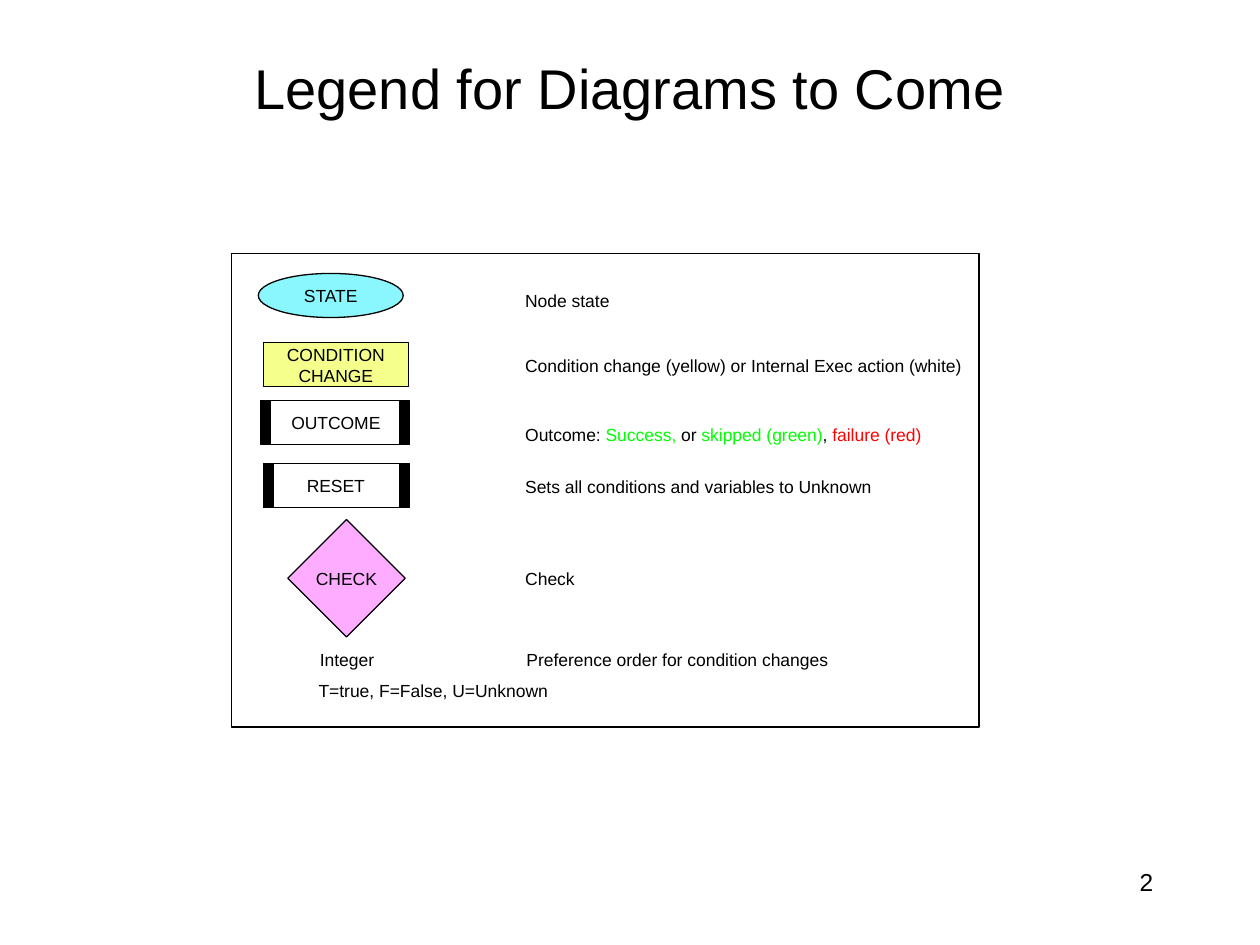
from dataclasses import dataclass

from pptx import Presentation
from pptx import util as u
from pptx.dml.color import RGBColor
from pptx.enum import shapes, text


@dataclass(frozen=True)
class Theme:
    font: str = "Arial"
    title_size: int = 32
    number_size: int = 14
    body_size: int = 10
    line_width: float = 0.75
    black: str = "000000"
    state: str = "8AF7FF"
    condition: str = "F4FF8C"
    check: str = "FDACFF"
    success: str = "00FF00"
    failure: str = "FF0000"


THEME = Theme()
SHAPE = shapes.MSO_SHAPE
ALIGN = text.PP_ALIGN
ROW_H = 0.35
LABEL_H = 0.27
SYMBOL_W = 1.15
BAR_W = 0.08


def inches(*values):
    return [u.Inches(value) for value in values]


def style_run(r, size, color=THEME.black):
    r.font.name = THEME.font
    r.font.size = u.Pt(size)
    r.font.color.rgb = RGBColor.from_string(color)


def style_text(tf, size, align):
    for p in tf.paragraphs:
        p.alignment = align
        for r in p.runs:
            style_run(r, size)


def add_box(s, kind, x, y, w, h, fill=None, label=""):
    sp = s.shapes.add_shape(kind, *inches(x, y, w, h))
    sp.shadow.inherit = False
    if fill:
        sp.fill.solid()
        sp.fill.fore_color.rgb = RGBColor.from_string(fill)
    else:
        sp.fill.background()
    sp.line.color.rgb = RGBColor.from_string(THEME.black)
    sp.line.width = u.Pt(THEME.line_width)
    if label:
        tf = sp.text_frame
        tf.text = label
        tf.word_wrap = False
        tf.vertical_anchor = text.MSO_ANCHOR.MIDDLE
        style_text(tf, THEME.body_size, ALIGN.CENTER)
    return sp


def add_label(s, x, y, w, label, h=LABEL_H, size=THEME.body_size,
              align=ALIGN.LEFT, wrap=False):
    tf = s.shapes.add_textbox(*inches(x, y, w, h)).text_frame
    tf.text = label
    tf.word_wrap = wrap
    style_text(tf, size, align)
    return tf


def add_barred_box(s, x, y, label, left_bar):
    add_box(s, SHAPE.RECTANGLE, x, y, SYMBOL_W, ROW_H, label=label)
    for bar_x in (left_bar, x + SYMBOL_W - BAR_W + 0.01):
        add_box(s, SHAPE.RECTANGLE, bar_x, y, BAR_W, ROW_H, THEME.black)


def add_title(s, x, y, w, h):
    title = s.shapes.title
    title.left, title.top, title.width, title.height = inches(x, y, w, h)
    tf = title.text_frame
    tf.text = "Legend for Diagrams to Come"
    tf.vertical_anchor = text.MSO_ANCHOR.MIDDLE
    style_text(tf, THEME.title_size, ALIGN.CENTER)


def add_symbols(s, x, y):
    add_box(s, SHAPE.OVAL, x + 0.21, y + 0.16, SYMBOL_W, ROW_H,
            THEME.state, "STATE")
    add_box(s, SHAPE.RECTANGLE, x + 0.25, y + 0.71, SYMBOL_W, ROW_H,
            THEME.condition, "CONDITION\nCHANGE")
    add_barred_box(s, x + 0.25, y + 1.17, "OUTCOME", x + 0.23)
    add_barred_box(s, x + 0.25, y + 1.67, "RESET", x + 0.25)
    diamond = add_box(s, SHAPE.RECTANGLE, x + 0.58, y + 2.25, 0.66, 0.66,
                      THEME.check)
    diamond.rotation = 45
    add_label(s, x + 0.51, y + 2.45, 0.8, "CHECK", align=ALIGN.CENTER)
    add_label(s, x + 0.6, y + 3.09, 0.63, "Integer")
    add_label(s, x + 0.59, y + 3.34, 2.02, "T=true, F=False, U=Unknown")


def add_meanings(s, x, y):
    for dx, dy, w, label in (
        (0, 0.24, 0.87, "Node state"),
        (0, 0.76, 3.94,
         "Condition change (yellow) or Internal Exec action (white)"),
        (0, 1.72, 3.44, "Sets all conditions and variables to Unknown"),
        (0, 2.45, 0.59, "Check"),
        (0.01, 3.09, 2.59, "Preference order for condition changes"),
    ):
        add_label(s, x + dx, y + dy, w, label)

    p = add_label(s, x, y + 1.31, 3.52, "Outcome:", wrap=True).paragraphs[0]
    for words, color in (
        (" Success, ", THEME.success),
        ("or", THEME.black),
        (" skipped (green)", THEME.success),
        (", ", THEME.black),
        ("failure (red)", THEME.failure),
    ):
        r = p.add_run()
        r.text = words
        style_run(r, THEME.body_size, color)


def add_legend(s, x, y, w, h):
    add_box(s, SHAPE.RECTANGLE, x, y, w, h)
    add_symbols(s, x, y)
    add_meanings(s, x + 2.23, y)


def add_page_number(s, x, y, w, h):
    add_label(s, x, y, w, "2", h, THEME.number_size, ALIGN.RIGHT, True)


def main():
    prs = Presentation()
    prs.slide_width, prs.slide_height = inches(10, 7.5)
    s = prs.slides.add_slide(prs.slide_layouts.get_by_name("Title Only"))
    add_title(s, 0.75, 0.07, 8.5, 1.25)
    add_legend(s, 1.84, 2.01, 5.93, 3.76)
    add_page_number(s, 7.17, 6.83, 2.08, 0.5)
    prs.save("out.pptx")


if __name__ == "__main__":
    main()
